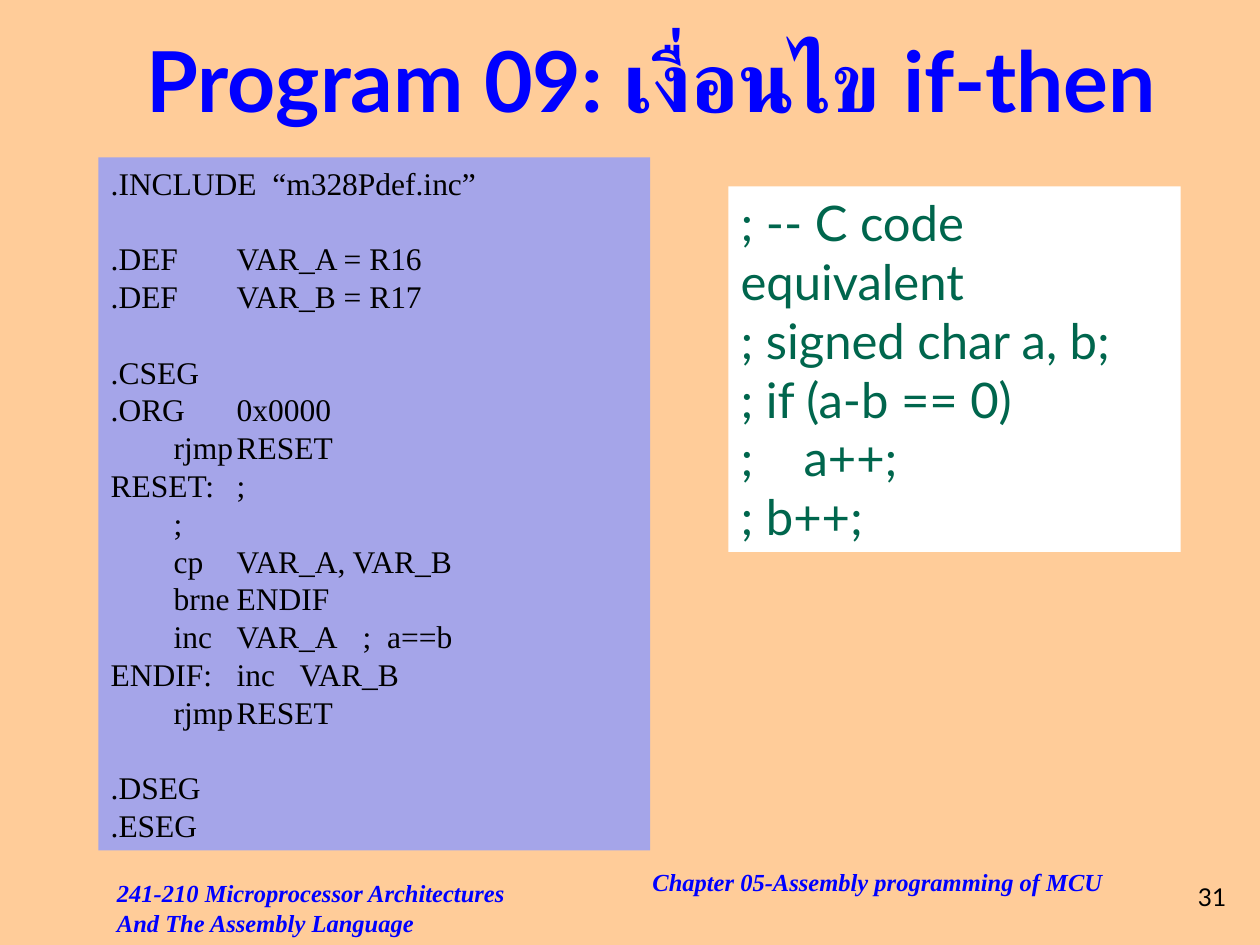
from pptx import Presentation
from pptx.dml.color import RGBColor
from pptx.enum.shapes import MSO_SHAPE
from pptx.enum.text import MSO_ANCHOR, MSO_AUTO_SIZE, PP_ALIGN
from pptx.util import Inches, Pt

COLORS = {
    "background": "FFCC99",
    "heading": "0000FF",
    "assembly_panel": "A5A5E9",
    "assembly_text": "000000",
    "c_panel": "FFFFFF",
    "c_text": "00664D",
}
SANS = "Lato"
SERIF = "Times New Roman"
LINE_FACTOR = 1.2

# Each block is separated from the next by one empty line's worth of space.
ASSEMBLY_BLOCKS = [
    [".INCLUDE  “m328Pdef.inc”"],
    [".DEF\tVAR_A = R16", ".DEF\tVAR_B = R17"],
    [
        ".CSEG",
        ".ORG\t0x0000",
        "\trjmp\tRESET",
        "RESET:\t;",
        "\t;",
        "\tcp\tVAR_A, VAR_B",
        "\tbrne\tENDIF",
        "\tinc\tVAR_A\t;  a==b",
        "ENDIF:\tinc\tVAR_B",
        "\trjmp\tRESET",
    ],
    [".DSEG", ".ESEG"],
]
C_BLOCKS = [[
    "; -- C code equivalent",
    "; signed char a, b;",
    "; if (a-b == 0)",
    ";\ta++;",
    "; b++;",
]]


def color(name):
    return RGBColor.from_string(COLORS[name])


def write_line(paragraph, text, font, size, ink, emphasis=(False, False),
               align=PP_ALIGN.LEFT):
    """Add one run; emphasis is (bold, italic)."""
    paragraph.alignment = align
    if font == SERIF:
        paragraph.line_spacing = Pt(size * LINE_FACTOR)
    run = paragraph.add_run()
    run.text = text
    run.font.name = font
    run.font.size = Pt(size)
    run.font.bold, run.font.italic = emphasis
    run.font.color.rgb = color(ink)


def add_label(slide, box, text, font, size, ink, emphasis=(False, False),
              align=PP_ALIGN.LEFT, anchor=MSO_ANCHOR.TOP, wrap=True):
    label = slide.shapes.add_textbox(*map(Inches, box))
    frame = label.text_frame
    frame.word_wrap = wrap
    frame.vertical_anchor = anchor
    write_line(frame.paragraphs[0], text, font, size, ink, emphasis, align)


def add_code_panel(slide, box, blocks, fill, font, size, ink):
    panel = slide.shapes.add_shape(MSO_SHAPE.RECTANGLE, *map(Inches, box))
    panel.shadow.inherit = False
    panel.fill.solid()
    panel.fill.fore_color.rgb = color(fill)
    panel.line.fill.background()
    frame = panel.text_frame
    frame.word_wrap = True
    frame.vertical_anchor = MSO_ANCHOR.TOP
    frame.auto_size = MSO_AUTO_SIZE.SHAPE_TO_FIT_TEXT
    paragraph = frame.paragraphs[0]
    for block_index, block in enumerate(blocks):
        for line_index, line in enumerate(block):
            if block_index or line_index:
                paragraph = frame.add_paragraph()
            if block_index and not line_index:
                paragraph.space_before = Pt(size * LINE_FACTOR)
            write_line(paragraph, line, font, size, ink)


def main():
    deck = Presentation()
    deck.slide_width, deck.slide_height = Inches(10), Inches(7.5)
    slide = deck.slides.add_slide(deck.slide_layouts[6])
    slide.background.fill.solid()
    slide.background.fill.fore_color.rgb = color("background")

    add_label(slide, (9.33, 6.83, 0.58, 0.58), "31", SANS, 14, "assembly_text",
              align=PP_ALIGN.CENTER, anchor=MSO_ANCHOR.MIDDLE, wrap=False)
    footers = [
        ((5.08, 6.83, 6.67, 0.67), "Chapter 05-Assembly programming of MCU"),
        ((0.83, 6.92, 3.33, 0.5),
         "241-210 Microprocessor Architectures And The Assembly Language"),
    ]
    for box, text in footers:
        add_label(slide, box, text, SERIF, 14, "heading", (True, True))

    add_label(slide, (0.92, 0, 8.5, 1.25), "Program 09: เงื่อนไข if-then",
              SANS, 48, "heading", (True, False),
              PP_ALIGN.CENTER, MSO_ANCHOR.MIDDLE)
    add_code_panel(slide, (0.78, 1.25, 4.38, 5.5), ASSEMBLY_BLOCKS,
                   "assembly_panel", SERIF, 18, "assembly_text")
    add_code_panel(slide, (5.78, 1.48, 3.59, 2.9), C_BLOCKS,
                   "c_panel", SANS, 28, "c_text")
    deck.save("out.pptx")


if __name__ == "__main__":
    main()
